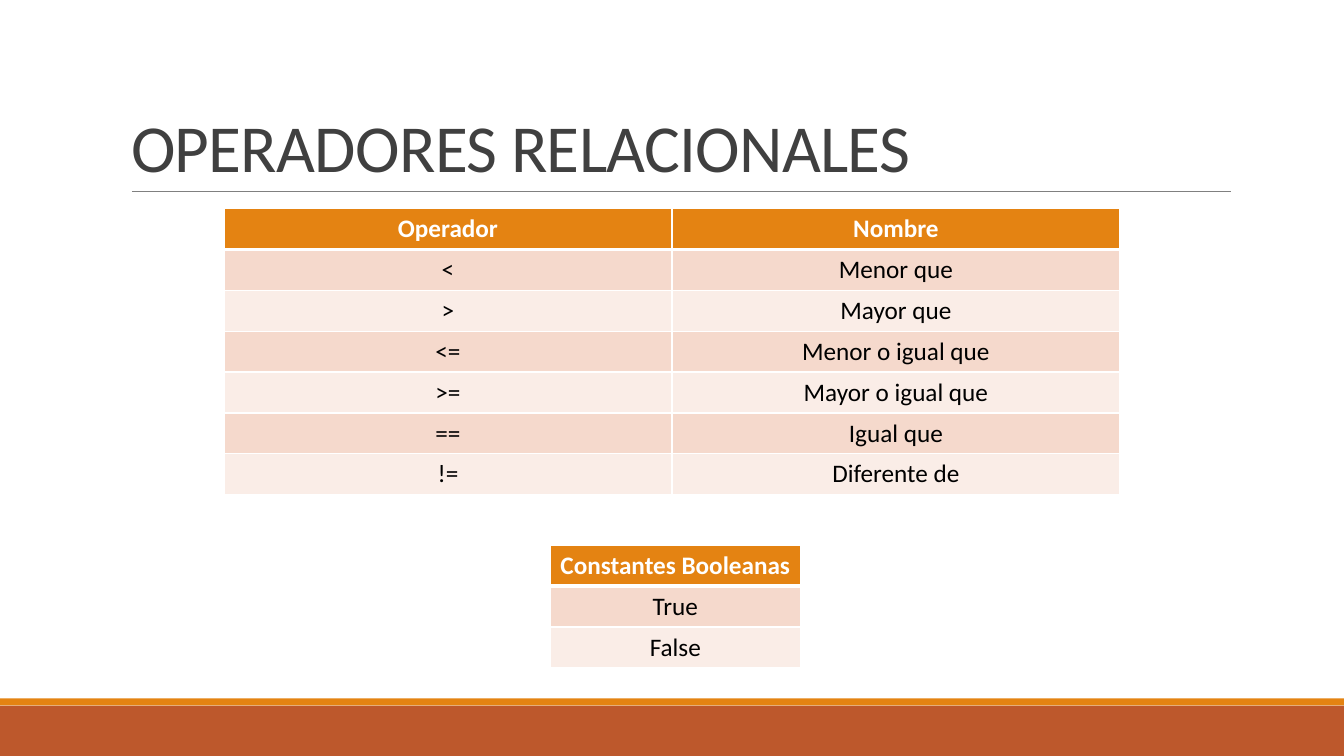
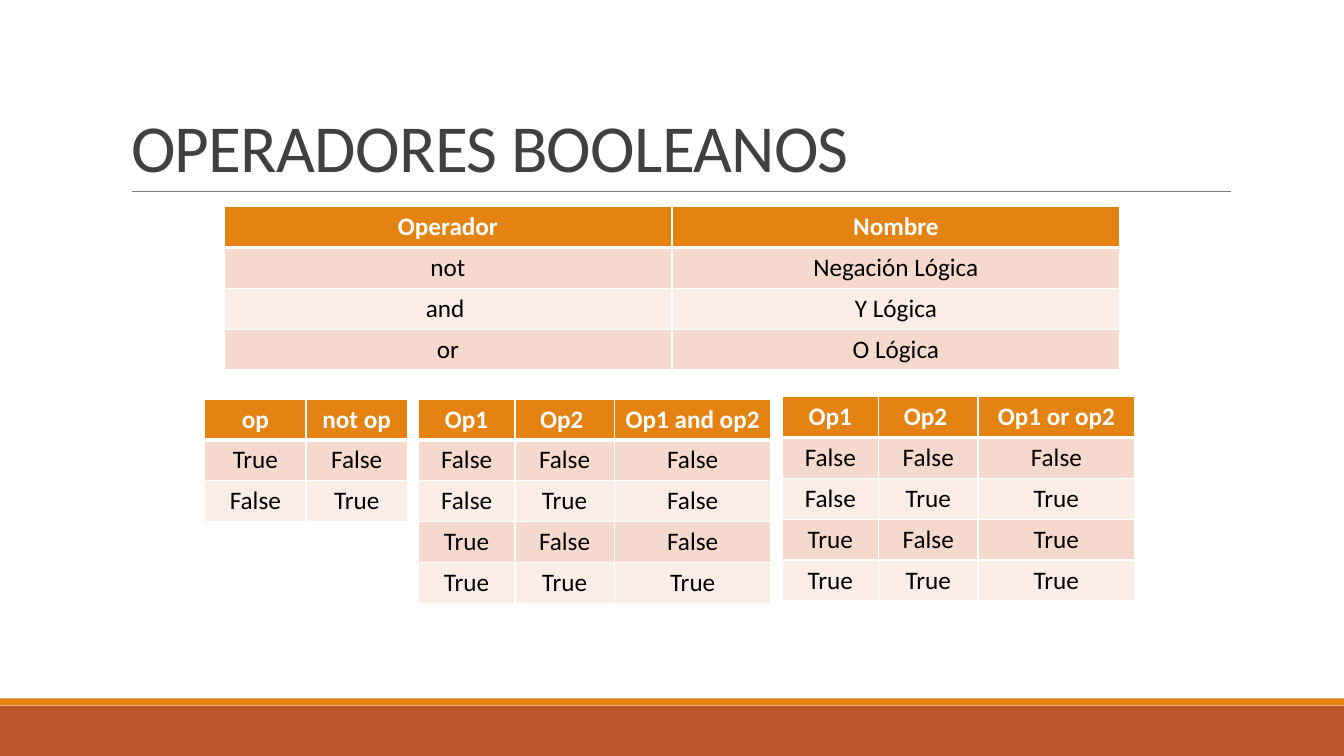
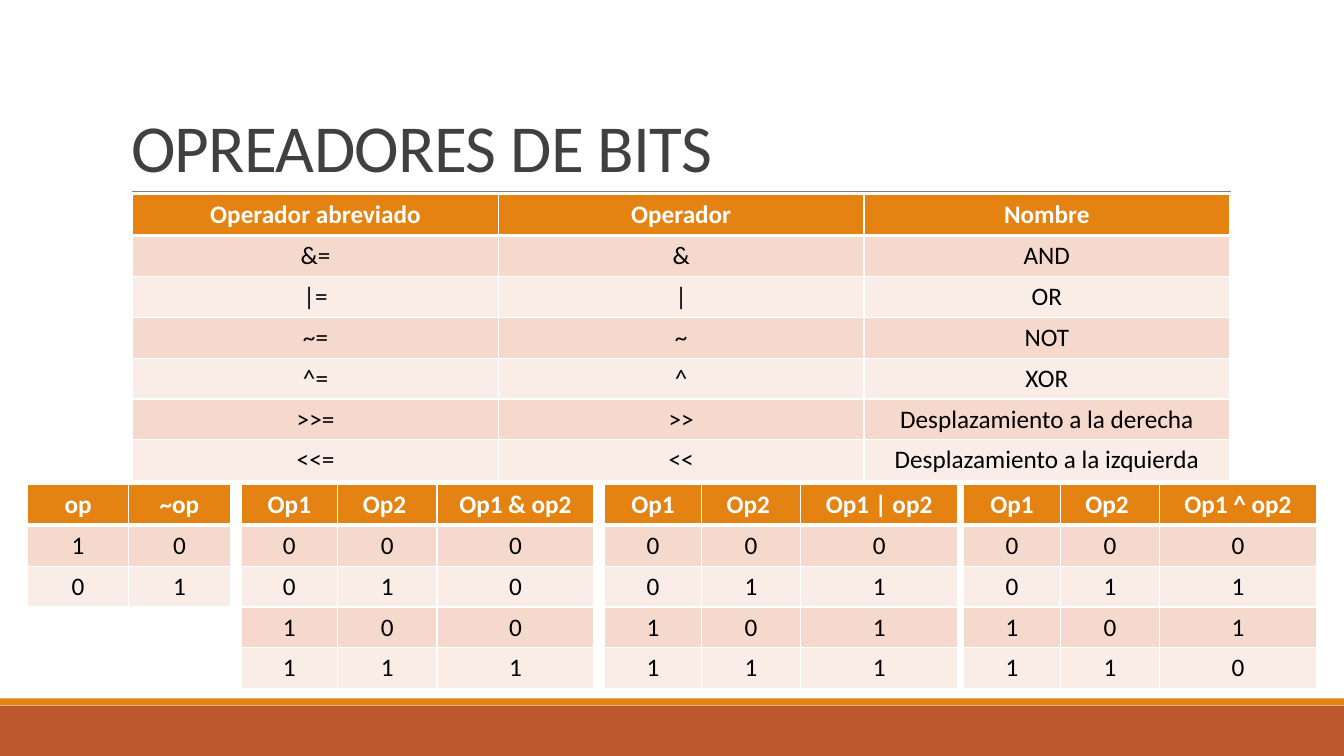
from dataclasses import dataclass
from itertools import product

from lxml import etree
from pptx import Presentation
from pptx.dml.color import RGBColor
from pptx.enum.shapes import MSO_CONNECTOR, MSO_SHAPE
from pptx.enum.text import MSO_ANCHOR, PP_ALIGN
from pptx.oxml.ns import qn
from pptx.util import Pt

RECTANGLE = MSO_SHAPE.RECTANGLE
STRAIGHT = MSO_CONNECTOR.STRAIGHT
BOTTOM = MSO_ANCHOR.BOTTOM
LEFT, CENTER = PP_ALIGN.LEFT, PP_ALIGN.CENTER


@dataclass(frozen=True)
class Theme:
    font: str = "Calibri"
    title_size: float = 48
    table_size: float = 18
    title: str = "404040"
    rule: str = "808080"
    orange: str = "E48312"
    rust: str = "BD582C"
    white: str = "FFFFFF"
    black: str = "000000"
    stripes: tuple = ("FAEDE7", "F5D9CC")


THEME = Theme()
ROW_HEIGHT = 29.2
PAIR_COLUMNS = (72.4, 72.4)
TRUTH_COLUMNS = (69, 71, 112)


def truth_table(operation, values, results):
    """Rows of a two-operand truth table, header first."""
    inputs = product(values, repeat=2)
    return [("Op1", "Op2 ", operation)] + [
        (*pair, result) for pair, result in zip(inputs, results)]


def draw_table(page, left, top, widths, rows):
    frame = page.shapes.add_table(len(rows), len(widths), Pt(left), Pt(top),
                                  Pt(sum(widths)), Pt(ROW_HEIGHT * len(rows)))
    table = frame.table
    table.horz_banding = False
    for column, width in zip(table.columns, widths):
        column.width = Pt(width)
    for r, texts in enumerate(rows):
        header = r == 0
        table.rows[r].height = Pt(ROW_HEIGHT)
        for c, text in enumerate(texts):
            cell = table.cell(r, c)
            # Borders come before the fill; the one under the header is thick
            borders = {"a:lnL": 1, "a:lnR": 1, "a:lnT": 3 if r == 1 else 1,
                       "a:lnB": 3 if header else 1}
            properties = cell._tc.get_or_add_tcPr()
            for tag, weight in borders.items():
                line = etree.SubElement(properties, qn(tag), w=str(Pt(weight)))
                solid = etree.SubElement(line, qn("a:solidFill"))
                etree.SubElement(solid, qn("a:srgbClr"), val=THEME.white)
            cell.fill.solid()
            cell.fill.fore_color.rgb = RGBColor.from_string(
                THEME.orange if header else THEME.stripes[r % 2])
            para = cell.text_frame.paragraphs[0]
            para.alignment = CENTER
            span = para.add_run()
            span.text = text
            span.font.name = THEME.font
            span.font.size = Pt(THEME.table_size)
            span.font.bold = header
            span.font.color.rgb = RGBColor.from_string(
                THEME.white if header else THEME.black)


# Content: title, then tables as (left, top, column widths, rows)
LOGIC, BITS = ("False", "True"), ("0", "1")
SLIDES = [
    ("OPERADORES RELACIONALES", [
        (160, 149, (320, 320), [
            ("Operador", "Nombre"),
            ("<", "Menor que"),
            (">", "Mayor que"),
            ("<=", "Menor o igual que"),
            (">=", "Mayor o igual que"),
            ("==", "Igual que"),
            ("!=", "Diferente de")]),
        (393, 389.5, (178.8,), [
            ("Constantes Booleanas",), ("True",), ("False",)]),
    ]),
    ("OPERADORES BOOLEANOS", [
        (160, 147.5, (320, 320), [
            ("Operador", "Nombre"),
            ("not", "Negación Lógica"),
            ("and ", "Y Lógica"),
            ("or", "O Lógica")]),
        (146.2, 285, PAIR_COLUMNS, [
            ("op", "not op"), ("True", "False"), ("False", "True")]),
        (298.8, 285, TRUTH_COLUMNS, truth_table(
            "Op1 and op2", LOGIC, ("False", "False", "False", "True"))),
        (558.6, 283.2, TRUTH_COLUMNS, truth_table(
            "Op1 or op2", LOGIC, ("False", "True", "True", "True"))),
    ]),
    ("OPREADORES DE BITS", [
        (94.8, 139, (261.2, 261.2, 261.2), [
            ("Operador abreviado", "Operador", "Nombre"),
            ("&=", "&", "AND"),
            ("|=", "|", "OR"),
            ("~=", "~", "NOT"),
            ("^=", "^", "XOR"),
            (">>=", ">>", "Desplazamiento a la derecha"),
            ("<<=", "<<", "Desplazamiento a la izquierda")]),
        (19.6, 346, PAIR_COLUMNS, [("op", "~op"), ("1", "0"), ("0", "1")]),
        (172.2, 346, TRUTH_COLUMNS, truth_table("Op1 & op2", BITS, "0001")),
        (432, 346, TRUTH_COLUMNS, truth_table("Op1 | op2", BITS, "0111")),
        (688.3, 346, TRUTH_COLUMNS, truth_table("Op1 ^ op2", BITS, "0110")),
    ]),
]

deck = Presentation()
deck.slide_width, deck.slide_height = Pt(960), Pt(540)
layout = deck.slide_layouts[5]

# Shared layout: only the title placeholder stays
for holder in list(layout.placeholders):
    if holder.placeholder_format.idx != 0:
        holder.element.getparent().remove(holder.element)
pages = [deck.slides.add_slide(layout) for _ in SLIDES]

# Shared bands and title rule, drawn once and moved into the layout
draft = pages[0].shapes
decorations = []
for top, height, color in ((504, 36, THEME.rust), (498.8, 5.04, THEME.orange)):
    band = draft.add_shape(RECTANGLE, 0, Pt(top), Pt(960), Pt(height))
    band.shadow.inherit = False
    band.fill.solid()
    band.fill.fore_color.rgb = RGBColor.from_string(color)
    band.line.fill.background()
    decorations.append(band)
rule = draft.add_connector(STRAIGHT, Pt(94.3), Pt(136.8), Pt(879), Pt(136.8))
rule.line.color.rgb = RGBColor.from_string(THEME.rule)
rule.line.width = Pt(0.5)
etree.SubElement(rule.element.spPr, qn("a:effectLst"))
decorations.append(rule)
for decoration in decorations:
    layout.shapes.element.append(decoration.element)

# Slides
for page, (heading, tables) in zip(pages, SLIDES):
    title = page.shapes.title
    title.left, title.top = Pt(86.4), Pt(22.6)
    title.width, title.height = Pt(792), Pt(114.2)
    title.text_frame.vertical_anchor = BOTTOM
    title.text_frame.word_wrap = True
    para = title.text_frame.paragraphs[0]
    para.alignment = LEFT
    para.line_spacing = 0.85
    span = para.add_run()
    span.text = heading
    span.font.name = THEME.font
    span.font.size = Pt(THEME.title_size)
    span.font.color.rgb = RGBColor.from_string(THEME.title)
    span.font._element.set("spc", "-50")

    for left, top, widths, rows in tables:
        draw_table(page, left, top, widths, rows)

deck.save("out.pptx")
